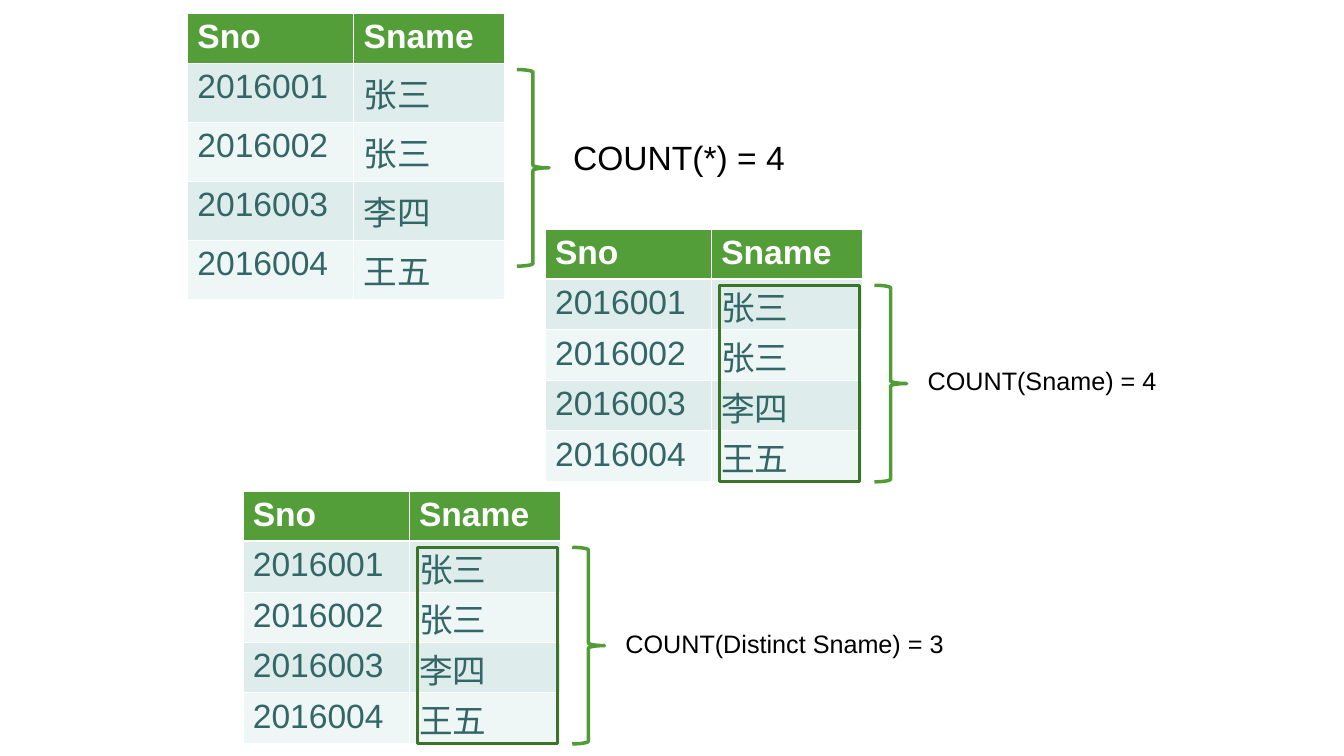
from dataclasses import dataclass

from lxml import etree
from pptx import Presentation
from pptx import util as u
from pptx.dml.color import RGBColor
from pptx.enum import shapes, text
from pptx.oxml import ns

SCALE = u.Inches(1) // 100  # EMU in one px


@dataclass(frozen=True)
class Theme:
    font: str = "Arial"
    header_fill: str = "549E39"
    band_fills: tuple[str, str] = ("DEECEC", "EFF6F6")
    white: str = "FFFFFF"
    body: str = "336666"
    label: str = "000000"
    brace: str = "519D35"
    highlight: str = "3B7327"
    large: int = 24
    small: int = 18
    thin_border: float = 0.45
    header_border: float = 1.47
    brace_width: float = 2.5
    highlight_width: float = 2


@dataclass(frozen=True)
class Example:
    """One student table with the result of its count."""
    left: int
    top: int
    result: str
    result_box: tuple[int, int, int, int]
    result_size: int
    column_marked: bool = True


THEME = Theme()
STUDENTS = [
    ("Sno", "Sname"),
    ("2016001", "张三"),
    ("2016002", "张三"),
    ("2016003", "李四"),
    ("2016004", "王五"),
]
COLUMN_WIDTHS = (165, 150)
ROW_HEIGHT = 50
MARK_TOP = 56  # braces and highlights start this far below the table top
MARK_HEIGHT = 195

EXAMPLES = [
    Example(186, 13, "COUNT(*) = 4", (559, 131, 276, 50), THEME.large, False),
    Example(541, 227, "COUNT(Sname) = 4", (911, 358, 254, 40), THEME.small),
    Example(241, 487, "COUNT(Distinct Sname) = 3", (611, 618, 496, 40), THEME.small),
]


def px(*lengths: int) -> list[int]:
    return [length * SCALE for length in lengths]


def write(frame, words: str, size: int, color: str, bold: bool = False) -> None:
    run = frame.paragraphs[0].add_run()
    run.text = words
    formats = {"name": THEME.font, "size": u.Pt(size), "bold": bold}
    for name, value in formats.items():
        setattr(run.font, name, value)
    run.font.color.rgb = RGBColor.from_string(color)


def set_borders(cell, row: int) -> None:
    heavy = {0: "lnB", 1: "lnT"}.get(row)
    properties = cell._tc.get_or_add_tcPr()
    for index, side in enumerate(("lnL", "lnR", "lnT", "lnB")):
        width = THEME.header_border if side == heavy else THEME.thin_border
        line = etree.Element(ns.qn(f"a:{side}"), w=str(u.Pt(width)))
        fill = etree.SubElement(line, ns.qn("a:solidFill"))
        etree.SubElement(fill, ns.qn("a:srgbClr"), val=THEME.white)
        properties.insert(index, line)


def draw_table(slide, example: Example) -> None:
    size = sum(COLUMN_WIDTHS), ROW_HEIGHT * len(STUDENTS)
    frame = slide.shapes.add_table(
        len(STUDENTS), len(COLUMN_WIDTHS), *px(example.left, example.top, *size))
    table = frame.table
    for column, width in zip(table.columns, px(*COLUMN_WIDTHS)):
        column.width = width
    for row, values in enumerate(STUDENTS):
        table.rows[row].height = ROW_HEIGHT * SCALE
        header = row == 0
        fill = THEME.header_fill if header else THEME.band_fills[(row - 1) % 2]
        for column, value in enumerate(values):
            cell = table.cell(row, column)
            cell.fill.solid()
            cell.fill.fore_color.rgb = RGBColor.from_string(fill)
            set_borders(cell, row)
            write(cell.text_frame, value, THEME.large,
                  THEME.white if header else THEME.body, header)
            # Tight margins keep the names within the marked column's rows
            if example.column_marked and column == 1 and not header:
                cell.margin_top, cell.margin_bottom = px(2, 0)


def draw_outline(slide, kind, box: tuple[int, int, int, int], color: str,
                 width: float) -> None:
    outline = slide.shapes.add_shape(kind, *px(*box))
    outline.shadow.inherit = False
    outline.fill.background()
    outline.line.color.rgb = RGBColor.from_string(color)
    outline.line.width = u.Pt(width)


def draw_result(slide, example: Example) -> None:
    frame = slide.shapes.add_textbox(*px(*example.result_box)).text_frame
    formats = {"word_wrap": True, "auto_size": text.MSO_AUTO_SIZE.SHAPE_TO_FIT_TEXT}
    for name, value in formats.items():
        setattr(frame, name, value)
    write(frame, example.result, example.result_size, THEME.label)


def draw_example(slide, example: Example) -> None:
    draw_table(slide, example)
    draw_result(slide, example)
    mark_top = example.top + MARK_TOP
    # Brace around the counted rows
    draw_outline(slide, shapes.MSO_SHAPE.RIGHT_BRACE,
                 (example.left + 327, mark_top, 32, MARK_HEIGHT),
                 THEME.brace, THEME.brace_width)
    # Frame around the counted column
    if example.column_marked:
        draw_outline(slide, shapes.MSO_SHAPE.RECTANGLE,
                     (example.left + 173, mark_top, 139, MARK_HEIGHT),
                     THEME.highlight, THEME.highlight_width)


def main() -> None:
    presentation = Presentation()
    presentation.slide_width, presentation.slide_height = px(1334, 750)
    slide = presentation.slides.add_slide(presentation.slide_layouts[6])
    for example in EXAMPLES:
        draw_example(slide, example)
    presentation.save("out.pptx")


if __name__ == "__main__":
    main()
